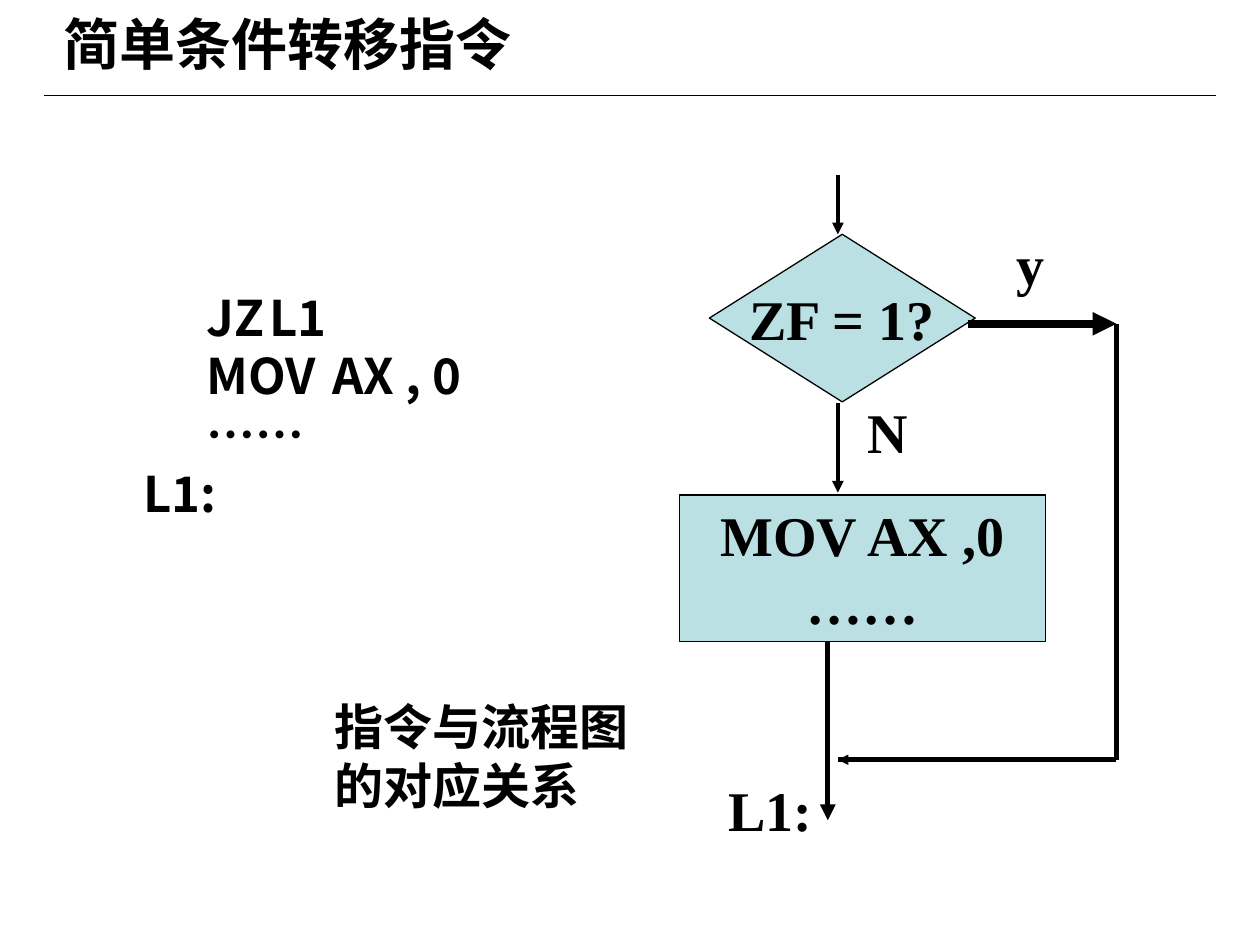
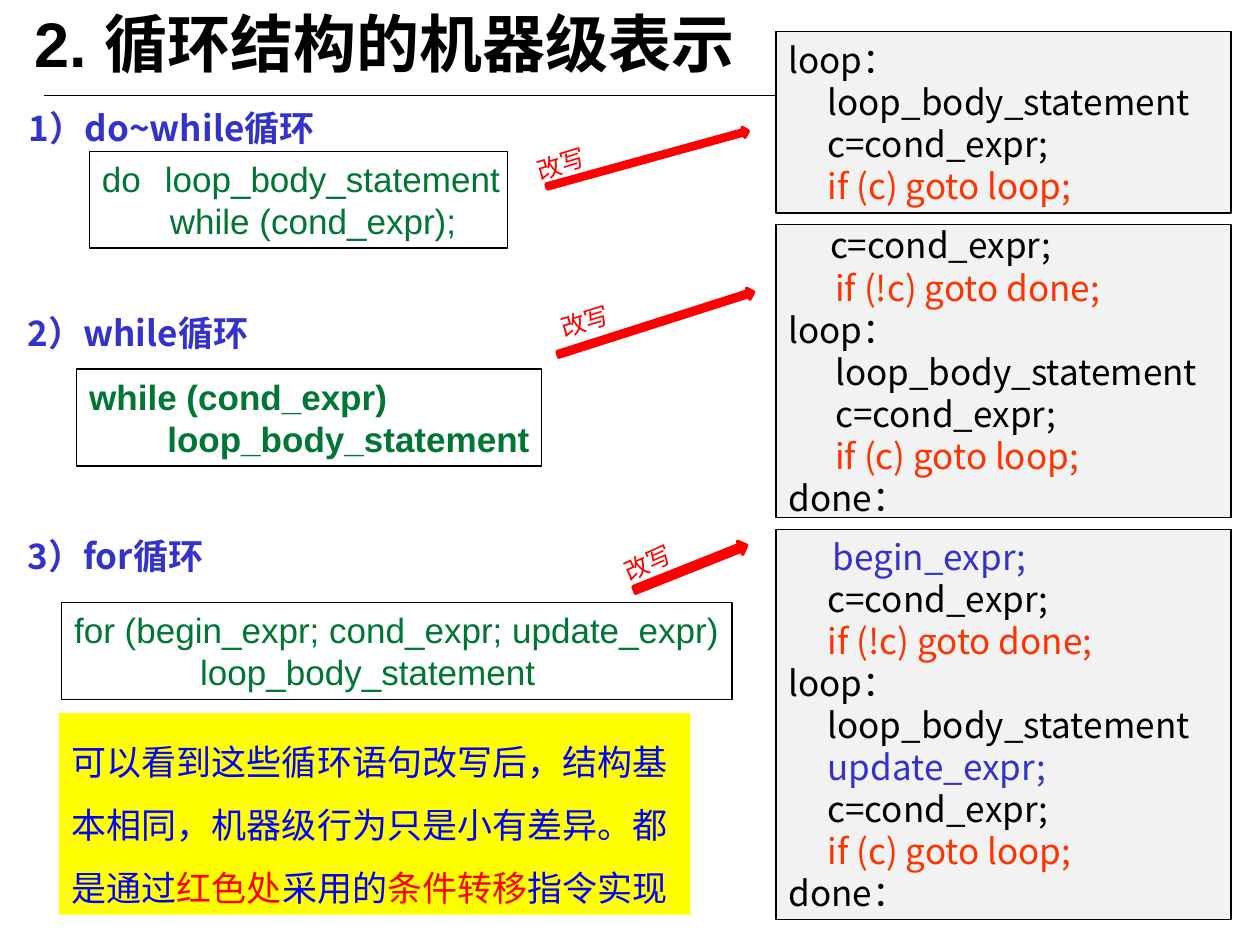
from lxml.etree import SubElement
from pptx import Presentation
from pptx.dml.color import RGBColor
from pptx.enum.shapes import MSO_CONNECTOR, MSO_SHAPE
from pptx.enum.text import MSO_ANCHOR, MSO_AUTO_SIZE, PP_ALIGN
from pptx.oxml.ns import qn
from pptx.util import Inches, Pt

deck = Presentation()
deck.slide_width, deck.slide_height = Inches(10), Inches(7.5)
unit = deck.slide_width // 100
tint = RGBColor.from_string

BLACK, TEAL, GREY, GREEN = "000000", "BBE0E3", "F2F2F2", "007635"
BLUE, PURE, RED, RUST, GOLD = "3333CC", "0000FF", "FF0000", "FF3300", "FFFF00"
SANS, SERIF, ARIAL = "Noto Sans CJK SC", "Times New Roman", "Arial"


def put(page, kind, spot, rows=(), size=20, face=SANS, bold=False, fill=None, edge=None,
        width=0.75, mid=False, deep=False, lead=1, gap=0, turn=0, tabs=()):
    spot = [round(n * unit) for n in spot]
    if kind == "title":
        form = page.shapes.title
        form.left, form.top, form.width, form.height = spot
    elif kind is None:
        form = page.shapes.add_textbox(*spot)
    else:
        form = page.shapes.add_shape(kind, *spot)
        form.shadow.inherit = False
        if fill:
            form.fill.solid()
            form.fill.fore_color.rgb = tint(fill)
        else:
            form.fill.background()
        if edge:
            form.line.color.rgb = tint(edge)
            form.line.width = Pt(width)
        else:
            form.line.fill.background()
    form.rotation = turn
    frame = form.text_frame
    frame.auto_size = MSO_AUTO_SIZE.NONE
    frame.word_wrap = not mid
    frame.vertical_anchor = MSO_ANCHOR.MIDDLE if deep else MSO_ANCHOR.TOP
    frame.margin_left = unit
    frame.margin_right = unit if mid else 0
    frame.margin_top = frame.margin_bottom = 0 if deep else unit // 2
    for spare in rows[1:]:
        frame.add_paragraph()
    for para, (dent, *runs) in zip(frame.paragraphs, rows):
        para.alignment = PP_ALIGN.CENTER if mid else PP_ALIGN.LEFT
        para.line_spacing, para.space_before = lead, Pt(gap)
        prop = para._p.get_or_add_pPr()
        prop.set("marL", str(round(dent * unit)))
        prop.set("indent", "0")
        if tabs:
            stops = SubElement(prop, qn("a:tabLst"))
            for stop in tabs:
                SubElement(stops, qn("a:tab"), pos=str(round(stop * unit)), algn="l")
        for words, hue in runs:
            run = para.add_run()
            run.text = words
            font = run.font
            font.size, font.name, font.bold = Pt(size), face, bold
            font.color.rgb = tint(hue)
            SubElement(run._r.get_or_add_rPr(), qn("a:ea"), typeface=SANS)


def join(page, start, end, width, head=False):
    ends = [round(n * unit) for n in (*start, *end)]
    wire = page.shapes.add_connector(MSO_CONNECTOR.STRAIGHT, *ends)
    wire.line.color.rgb = tint(BLACK)
    wire.line.width = Pt(width)
    if head:
        SubElement(wire.line._get_or_add_ln(), qn("a:tailEnd"), type="triangle")
    SubElement(wire._element.spPr, qn("a:effectLst"))


pages = []
for words, size, spot in [
    ("简单条件转移指令", 32, (4, 0.2, 49.3, 6.4)),
    ("2. 循环结构的机器级表示", 36, (1.7, 0.3, 90, 6.1)),
]:
    page = deck.slides.add_slide(deck.slide_layouts[5])
    put(page, "title", spot, [(0, (words, BLACK))], size, ARIAL, True, deep=True)
    join(page, (3.5, 7.6), (96.5, 7.6), 0.75)
    pages.append(page)
flow, loops = pages

code = ["\tJZ\tL1", "\tMOV\tAX , 0", "\t……", "L1:"]
put(flow, None, (10.4, 22.3, 33.3, 19.7), [(0, (row, BLACK)) for row in code],
    28, bold=True, tabs=(3.7, 10.9, 13.9))
put(flow, None, (25.6, 54.8, 27.6, 10.4), [(0, ("指令与流程图的对应关系", BLACK))],
    28, SERIF, True)

for kind, spot, rows in [
    (MSO_SHAPE.DIAMOND, (56.3, 18.6, 21.1, 13.3), ["ZF = 1?"]),
    (MSO_SHAPE.RECTANGLE, (53.9, 39.3, 29.1, 11.6), ["MOV AX ,0", "……"]),
]:
    put(flow, kind, spot, [(0, (row, BLACK)) for row in rows], 32, SERIF, True,
        TEAL, BLACK, mid=True, deep=True)

for words, spot in [
    ("N", (67.9, 31.1, 5.2, 6.4)),
    ("y", (79.7, 17.7, 4.2, 6.4)),
    ("L1:", (56.8, 61.1, 8.6, 6.4)),
]:
    put(flow, None, spot, [(0, (words, BLACK))], 32, SERIF, True)

axis, side, turn, back = 66.5, 88.6, 25.7, 60.3
for start, end, width, head in [
    ((axis, 13.9), (axis, 18.6), 2.25, True),
    ((axis, 32), (axis, 39.1), 2.25, True),
    ((76.8, turn), (side, turn), 4.5, True),
    ((side, turn), (side, back), 3, False),
    ((side, back), (axis, back), 3, False),
    ((73.6, back), (axis, back), 0.75, True),
    ((65.7, 50.9), (65.7, 65.1), 3, True),
]:
    join(flow, start, end, width, head)

for words, spot, lead in [
    ("1）do~while循环", (1.3, 7.5, 58.1, 5.4), 1.15),
    ("2）while循环", (1.2, 23.4, 43.3, 5.4), 1.25),
    ("3）for循环", (1.2, 41.4, 43.3, 5.4), 1.15),
]:
    put(loops, None, spot, [(0, (words, BLUE))], bold=True, lead=lead, gap=5)

for spot, first, dent, last, bold in [
    ((7.1, 12, 33.2, 7.7), "do\tloop_body_statement", 5.4, "while (cond_expr);", False),
    ((6.1, 29.3, 36.9, 7.7), "while (cond_expr)", 6.2, "loop_body_statement", True),
    ((4.9, 47.8, 53.2, 7.7), "for (begin_expr; cond_expr; update_expr)", 10,
     "loop_body_statement", False),
]:
    put(loops, MSO_SHAPE.RECTANGLE, spot, [(0, (first, GREEN)), (dent, (last, GREEN))],
        face=ARIAL, bold=bold, edge=BLACK, deep=True, tabs=(4.7,))

test, body = ("c=cond_expr;", BLACK), ("loop_body_statement", BLACK)
leave, again = ("if (!c) goto done;", RUST), ("if (c) goto loop;", RUST)
loop, done = (0, ("loop：", BLACK)), (0, ("done：", BLACK))
for top, high, rows in [
    (2.5, 14.4, [loop, (3.1, body), (3.1, test), (3.1, again)]),
    (17.8, 23.3, [(3.3, test), (3.7, leave), loop, (3.7, body), (3.7, test),
                  (3.7, again), done]),
    (42, 31, [(3.5, ("begin_expr;", BLUE)), (3.1, test), (3.1, leave), loop, (3.1, body),
              (3.1, ("update_expr;", BLUE)), (3.1, test), (3.1, again), done]),
]:
    put(loops, MSO_SHAPE.RECTANGLE, (61.6, top, 36.1, high), rows,
        fill=GREY, edge=BLACK, deep=True)

note = [
    ("可以看到这些循环语句改写后，结构基本相同，机器级行为只是小有差异。都是通过", PURE),
    ("红色处", RED), ("采用的", PURE), ("条件转移", RED), ("指令实现", PURE),
]
put(loops, MSO_SHAPE.RECTANGLE, (4.7, 56.6, 50.1, 16), [(0, *note)], fill=GOLD, lead=1.5)

for spot, tilt, left, top, lean in [
    ((43.1, 12.2, 16.6, 0.8), 344.6, 40.9, 11, 343),
    ((43.9, 25.2, 16.3, 0.9), 342.3, 42.8, 23.5, 343),
    ((50, 44.5, 9.6, 1.1), 338.3, 47.7, 42.7, 335.7),
]:
    put(loops, MSO_SHAPE.RIGHT_ARROW, spot, fill=RED, edge=RED, width=2, turn=tilt)
    put(loops, None, (left, top, 6.9, 2.9), [(0, ("改写", RED))], 14,
        mid=True, lead=1.15, gap=3.5, turn=lean)

deck.save("out.pptx")
